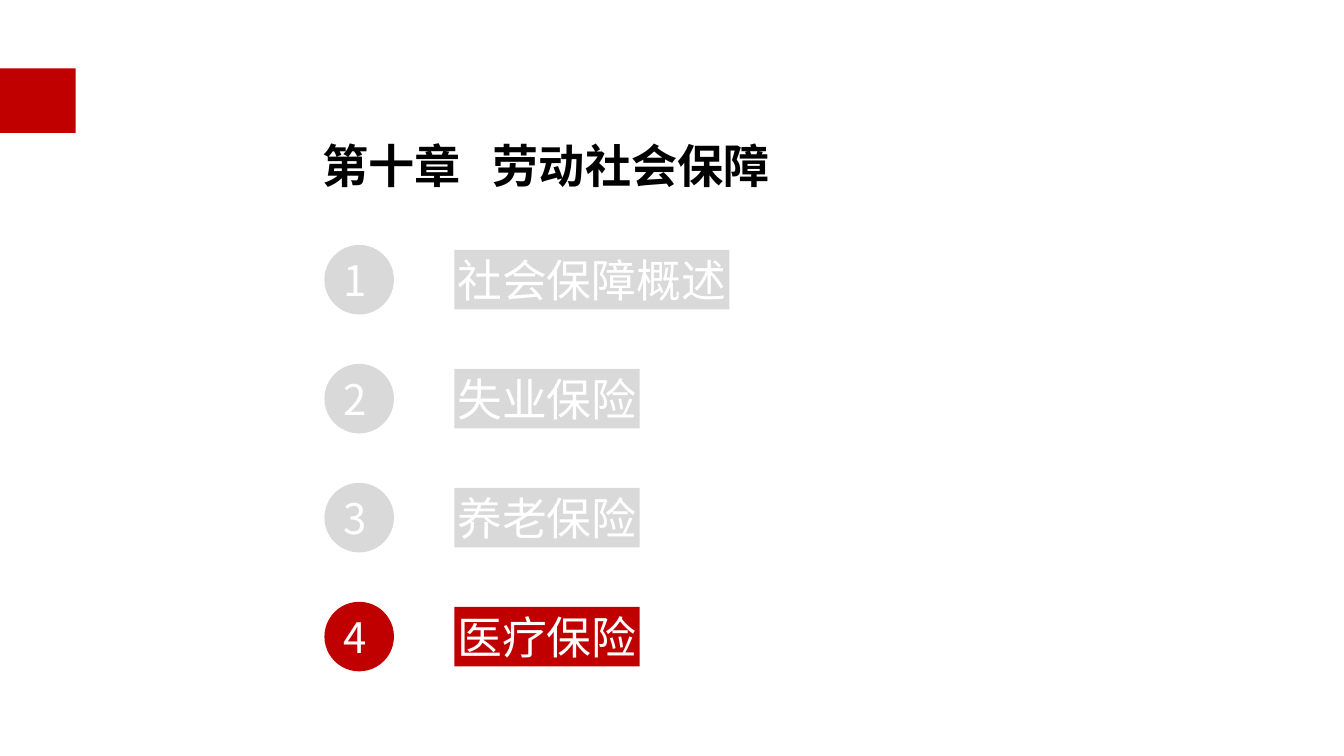
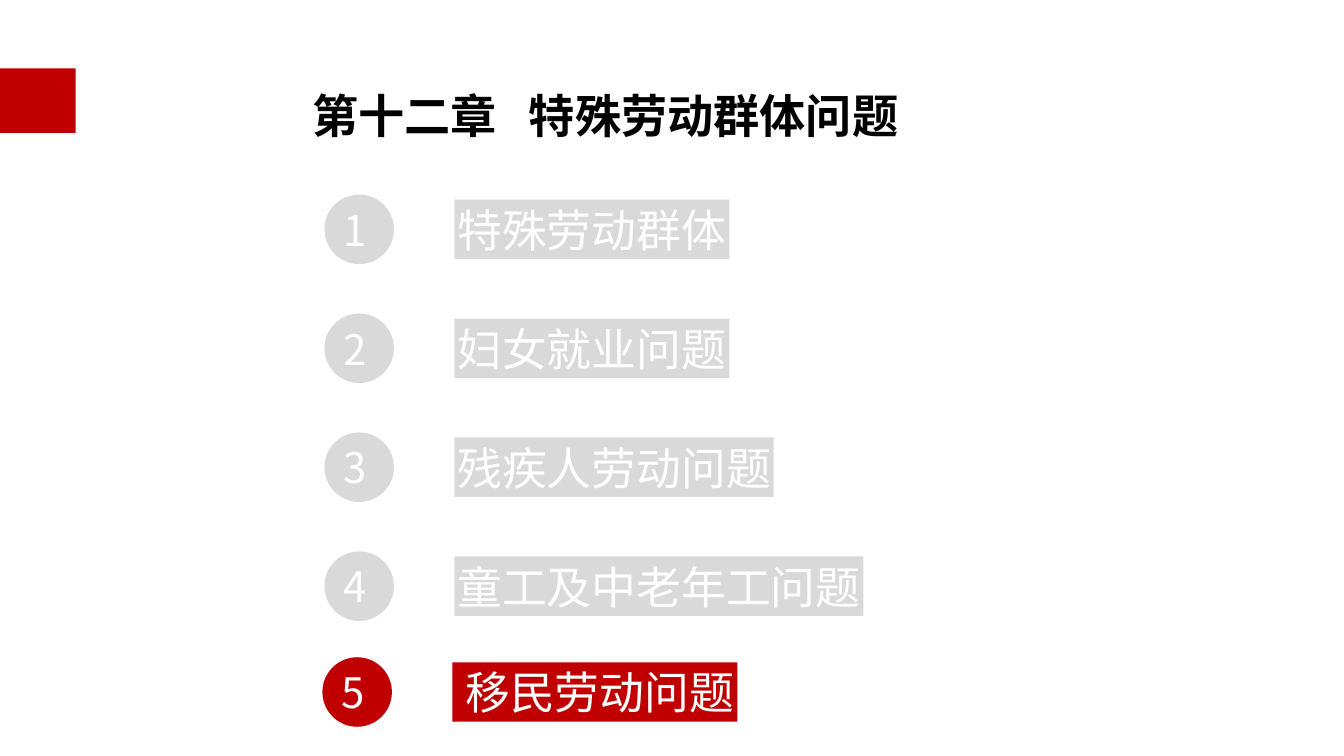
from dataclasses import dataclass

from lxml.etree import SubElement
from pptx import Presentation
from pptx.dml.color import RGBColor
from pptx.enum.shapes import MSO_SHAPE as SHAPE
from pptx.enum.text import MSO_ANCHOR as ANCHOR, MSO_AUTO_SIZE as AUTO, PP_ALIGN as ALIGN
from pptx.oxml.ns import qn
from pptx.util import Pt

PX = 9144  # 100 px to the inch


@dataclass(frozen=True)
class Theme:
    red: str = "C00000"
    grey: str = "D9D9D9"
    white: str = "FFFFFF"
    black: str = "000000"
    cjk: str = "Noto Sans CJK SC"
    latin: str = "Calibri"
    title: int = 33
    label: int = 32
    number: int = 30


T = Theme()


def put_text(sp, text, *, size, color=T.white, font=T.cjk, bold=False,
             left=3, inset=3, wrap=True, spacing=None, tab=None):
    tf = sp.text_frame
    tf.auto_size, tf.word_wrap, tf.vertical_anchor = AUTO.NONE, wrap, ANCHOR.MIDDLE
    tf.margin_left = left * PX
    tf.margin_top = tf.margin_right = tf.margin_bottom = inset * PX
    p = tf.paragraphs[0]
    p.alignment = ALIGN.LEFT
    if spacing:
        p.line_spacing = spacing
    if tab:
        tabs = SubElement(p._p.get_or_add_pPr(), qn("a:tabLst"))
        SubElement(tabs, qn("a:tab"), pos=str(tab * PX), algn="l")
    r = p.add_run()
    r.text = text
    r.font.name, r.font.size, r.font.bold = font, Pt(size), bold
    r.font.color.rgb = RGBColor.from_string(color)
    SubElement(r._r.get_or_add_rPr(), qn("a:ea"), typeface=T.cjk)


def add_block(s, kind, x, y, w, h, color):
    sp = s.shapes.add_shape(kind, x * PX, y * PX, w * PX, h * PX)
    sp.shadow.inherit = False
    sp.fill.solid()
    sp.fill.fore_color.rgb = RGBColor.from_string(color)
    sp.line.fill.background()
    return sp


prs = Presentation()
prs.slide_width, prs.slide_height = 1334 * PX, 750 * PX
layout = prs.slide_layouts[5]

# chapter, title, title box (left, top, width), top of first row, sections,
# and the last row's offset (x, y, text indent)
chapters = [
    ("第十章", "劳动社会保障", (317, 106, 460), 243,
     ["社会保障概述", "失业保险", "养老保险", "医疗保险"], (0, 0, 0)),
    ("第十二章", "特殊劳动群体问题", (307, 56, 600), 193,
     ["特殊劳动群体", "妇女就业问题", "残疾人劳动问题", "童工及中老年工问题", "移民劳动问题"],
     (-2, -13, 10)),
]
ROW_STEP = 118

for chapter, name, (left, top, width), first_row, sections, last_offset in chapters:
    s = prs.slides.add_slide(layout)
    title = s.shapes.title
    title.left, title.top, title.width, title.height = (
        left * PX, top * PX, width * PX, 88 * PX)
    put_text(title, f"{chapter}\t{name}", size=T.title, color=T.black, bold=True,
             spacing=1.5, tab=46 * len(chapter) + 31)

    for i, section in enumerate(sections):
        current = i == len(sections) - 1
        color = T.red if current else T.grey
        dx, dy, indent = last_offset if current else (0, 0, 0)
        x, y = 322 + dx, first_row + i * ROW_STEP + dy
        circle = add_block(s, SHAPE.OVAL, x, y, 69, 69, color)
        put_text(circle, str(i + 1), size=T.number, left=9, inset=0)
        text_width = round(len(section) * T.label * 100 / 72)
        label = add_block(s, SHAPE.RECTANGLE, x + 129, y + 5,
                          text_width + 6 + indent, 59, color)
        put_text(label, section, size=T.label, font=T.latin, left=3 + indent, wrap=False)

# The red band belongs to the layout, so every slide shows it
band = add_block(prs.slides[0], SHAPE.RECTANGLE, 0, 68, 75, 64, T.red)
layout.shapes.element.append(band.element)

prs.save("out.pptx")
